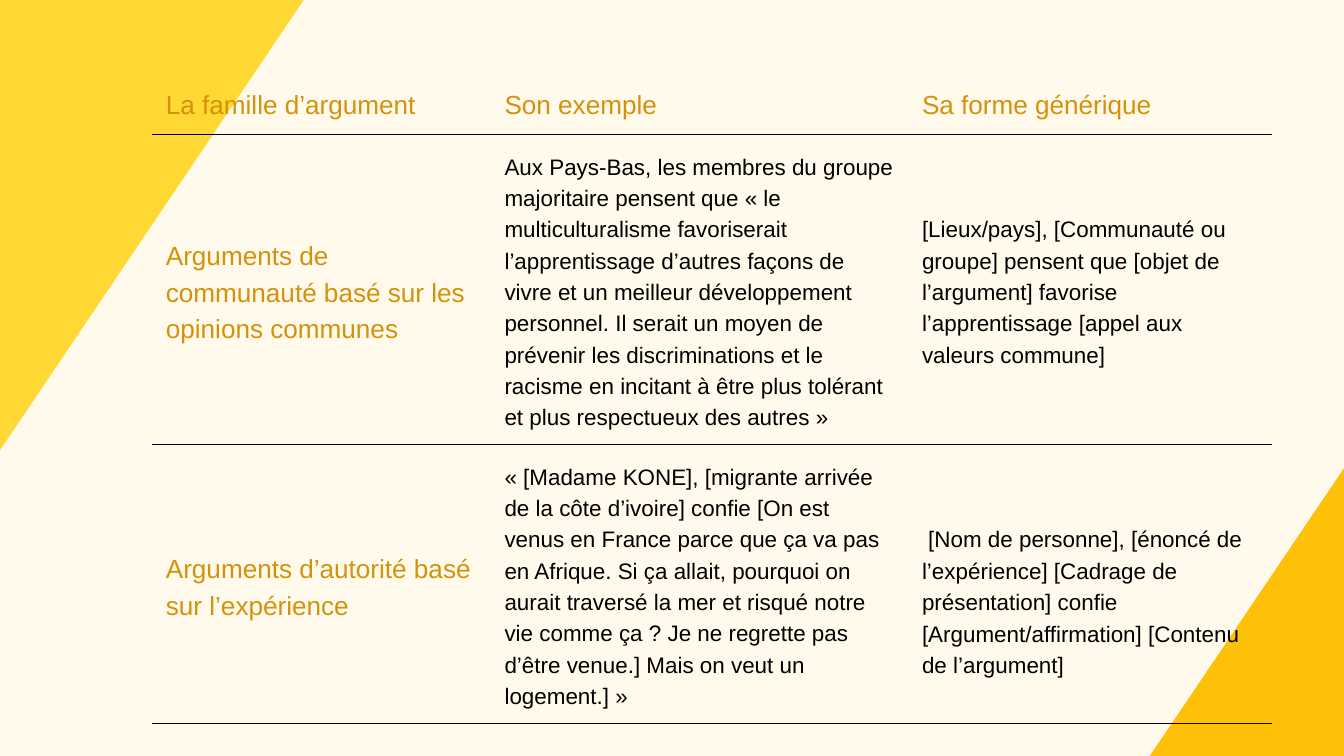
from dataclasses import dataclass

from lxml.etree import SubElement
from pptx import Presentation
from pptx.dml.color import RGBColor
from pptx.enum.text import MSO_ANCHOR
from pptx.oxml.ns import qn
from pptx.util import Cm, Pt


@dataclass(frozen=True)
class Theme:
    font: str = "Arial"
    background: str = "FFFAEC"
    yellow: str = "FFD834"
    amber: str = "FFC107"
    heading: str = "D6910B"
    body: str = "000000"
    rule: str = "000000"
    heading_size: float = 28
    body_size: float = 24
    line_ratio: float = 1.4
    rule_width: float = 1.5


THEME = Theme()
WIDTH, HEIGHT = 50.8, 28.58
CELL_MARGIN = 0.53
COLUMN_WIDTHS = (12.8, 15.78, 13.77)
ROW_HEIGHTS = (2.46, 11.61, 9.27)

ROWS = (
    ("La famille d’argument", "Son exemple", "Sa forme générique"),
    (
        "Arguments de communauté basé sur les opinions communes",
        "Aux Pays-Bas, les membres du groupe majoritaire pensent que "
        "« le multiculturalisme favoriserait l’apprentissage d’autres façons "
        "de vivre et un meilleur développement personnel. Il serait un moyen "
        "de prévenir les discriminations et le racisme en incitant à être "
        "plus tolérant et plus respectueux des autres »",
        "[Lieux/pays], [Communauté ou groupe] pensent que [objet de "
        "l’argument] favorise l’apprentissage [appel aux valeurs commune]",
    ),
    (
        "Arguments d’autorité basé sur l’expérience",
        "« [Madame KONE], [migrante arrivée de la côte d’ivoire] confie "
        "[On est venus en France parce que ça va pas en Afrique. Si ça "
        "allait, pourquoi on aurait traversé la mer et risqué notre vie "
        "comme ça ? Je ne regrette pas d’être venue.] Mais on veut un "
        "logement.] »",
        " [Nom de personne], [énoncé de l’expérience] [Cadrage de "
        "présentation] confie [Argument/affirmation] [Contenu de l’argument]",
    ),
)


def add_triangle(page, corners, color):
    """Draw a filled corner triangle from points in centimetres."""
    points = [(Cm(x), Cm(y)) for x, y in corners]
    builder = page.shapes.build_freeform(*points[0], scale=1.0)
    builder.add_line_segments(points[1:], close=True)
    shape = builder.convert_to_shape()
    shape.shadow.inherit = False
    shape.fill.solid()
    shape.fill.fore_color.rgb = RGBColor.from_string(color)
    shape.line.fill.background()


def write_text(frame, text, *, size, color):
    para = frame.paragraphs[0]
    para.line_spacing = Pt(round(size * THEME.line_ratio, 1))
    span = para.add_run()
    span.text = text
    span.font.name = THEME.font
    span.font.size = Pt(size)
    span.font.color.rgb = RGBColor.from_string(color)


def set_borders(cell, ruled_sides):
    """Rule the given sides (L, R, T, B) and clear the others."""
    properties = cell._tc.get_or_add_tcPr()
    for side in "LRTB":
        line = SubElement(properties, qn(f"a:ln{side}"))
        if side in ruled_sides:
            line.set("w", str(Pt(THEME.rule_width)))
            fill = SubElement(line, qn("a:solidFill"))
            SubElement(fill, qn("a:srgbClr")).set("val", THEME.rule)
        else:
            line.set("w", "0")
            SubElement(line, qn("a:noFill"))


def format_cell(cell, ruled_sides):
    cell.vertical_anchor = MSO_ANCHOR.MIDDLE
    cell.margin_left = cell.margin_right = Cm(CELL_MARGIN)
    cell.margin_top = cell.margin_bottom = Cm(CELL_MARGIN)
    set_borders(cell, ruled_sides)
    cell.fill.background()


def add_argument_table(page):
    frame = page.shapes.add_table(
        len(ROW_HEIGHTS), len(COLUMN_WIDTHS), Cm(5.74), Cm(2.62),
        Cm(sum(COLUMN_WIDTHS)), Cm(sum(ROW_HEIGHTS)))
    table = frame.table
    table.first_row = table.horz_banding = False
    for column, width in zip(table.columns, COLUMN_WIDTHS):
        column.width = Cm(width)
    for row, height in zip(table.rows, ROW_HEIGHTS):
        row.height = Cm(height)

    for row_index, texts in enumerate(ROWS):
        for column_index, text in enumerate(texts):
            cell = table.cell(row_index, column_index)
            format_cell(cell, "TB" if row_index else "B")
            is_heading = row_index == 0 or column_index == 0
            write_text(
                cell.text_frame, text,
                size=THEME.heading_size if is_heading else THEME.body_size,
                color=THEME.heading if is_heading else THEME.body)

    # The last generic form sits half a line below the middle
    table.cell(2, 2).margin_top = Cm(CELL_MARGIN + 1.19)


def main():
    deck = Presentation()
    deck.slide_width, deck.slide_height = Cm(WIDTH), Cm(HEIGHT)
    page = deck.slides.add_slide(deck.slide_layouts[6])

    # Background and corner triangles
    page.background.fill.solid()
    page.background.fill.fore_color.rgb = RGBColor.from_string(THEME.background)
    add_triangle(page, [(WIDTH, 17.7), (WIDTH, HEIGHT), (43.46, HEIGHT)],
                 THEME.amber)
    add_triangle(page, [(0, 17.02), (0, 0), (11.48, 0)], THEME.yellow)

    # Families of arguments
    add_argument_table(page)

    deck.save("out.pptx")


if __name__ == "__main__":
    main()
